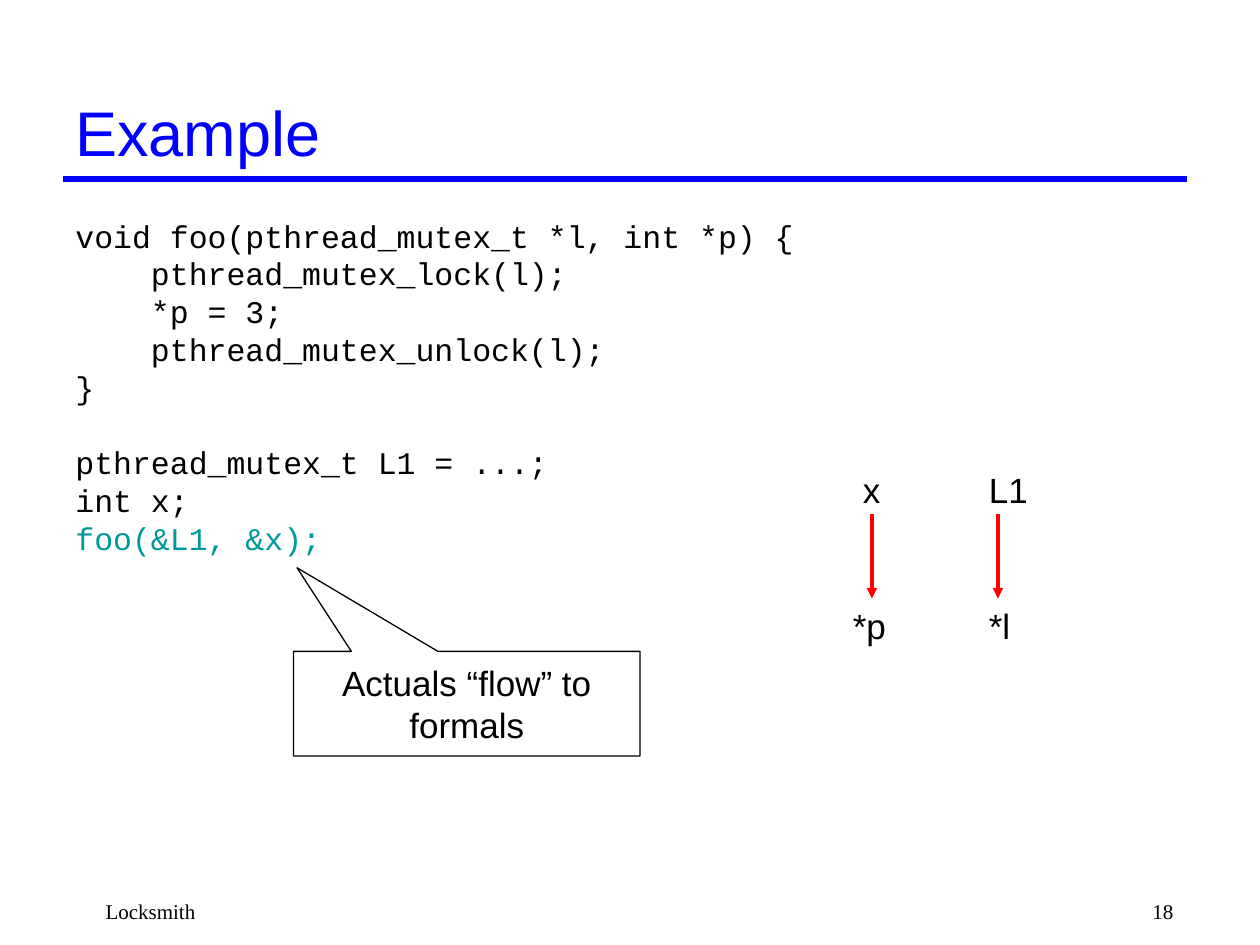
from lxml import etree
from pptx import Presentation
from pptx.dml.color import RGBColor
from pptx.enum.shapes import MSO_CONNECTOR as Line, MSO_SHAPE as Shape
from pptx.enum.text import MSO_ANCHOR as Anchor, PP_ALIGN as Align
from pptx.oxml.ns import qn
from pptx.util import Inches, Pt

# Content
TITLE = "Example"
CODE = [
    ("void foo(pthread_mutex_t *l, int *p) {", "code"),
    ("    pthread_mutex_lock(l);", "code"),
    ("    *p = 3;", "code"),
    ("    pthread_mutex_unlock(l);", "code"),
    ("}", "code"),
    ("pthread_mutex_t L1 = ...;", "code_gap"),
    ("int x;", "code"),
    ("foo(&L1, &x);", "call"),
]
CALLOUT = ["Actuals “flow” to", "formals"]
# Actual, formal, their left edges and widths, arrow position
FLOWS = [
    (("x", 6.75, 0.34), ("*p", 6.67, 0.46), 6.92),
    (("L1", 7.75, 0.51), ("*l", 7.75, 0.37), 7.92),
]
FOOTERS = [
    ("Locksmith", 0.74, 5.84, "footer"),
    ("18", 7.33, 2.08, "number"),
]

# Theme
BLACK, BLUE, TEAL, RED = "000000", "0000FF", "009999", "FF0000"
CODE_STEP = Pt(21.6)
code_style = dict(font="Courier New", size=18, color=BLACK,
                  format=dict(line_spacing=CODE_STEP))
label_style = dict(font="Arial", size=20, color=BLACK, format={})
footer_style = dict(font="Times New Roman", size=12, color=BLACK, format={})
THEME = {
    "title": dict(font="Arial", size=36, color=BLUE, format={}),
    "code": code_style,
    "code_gap": {**code_style, "format": dict(line_spacing=CODE_STEP,
                                              space_before=CODE_STEP)},
    "call": {**code_style, "color": TEAL},
    "label": label_style,
    "callout": {**label_style, "format": dict(alignment=Align.CENTER)},
    "footer": footer_style,
    "number": {**footer_style, "format": dict(alignment=Align.RIGHT)},
}

deck = Presentation()
deck.slide_width, deck.slide_height = Inches(10), Inches(7.5)
page = deck.slides.add_slide(deck.slide_layouts[6])


def write(shape, lines, **frame_format):
    frame = shape.text_frame
    for name, value in frame_format.items():
        setattr(frame, name, value)
    for index, (text, style_name) in enumerate(lines):
        para = frame.add_paragraph() if index else frame.paragraphs[0]
        style = THEME[style_name]
        for name, value in style["format"].items():
            setattr(para, name, value)
        span = para.add_run()
        span.text = text
        span.font.name, span.font.size = style["font"], Pt(style["size"])
        span.font.color.rgb = RGBColor.from_string(style["color"])


def add_text(place, lines, **frame_format):
    box = page.shapes.add_textbox(*map(Inches, place))
    write(box, lines, **frame_format)


def add_line(start, end, color, width, arrow=False):
    line = page.shapes.add_connector(Line.STRAIGHT, *map(Inches, start + end))
    line.line.color.rgb = RGBColor.from_string(color)
    line.line.width = Pt(width)
    if arrow:
        outline = line.line._get_or_add_ln()
        etree.SubElement(outline, qn("a:tailEnd"), type="triangle")
    etree.SubElement(line._element.spPr, qn("a:effectLst"))


# Title and rule
add_line((0.5, 1.42), (9.42, 1.42), BLUE, 3)
add_text((0.5, 0.67, 8.92, 0.75), [(TITLE, "title")],
         word_wrap=True, vertical_anchor=Anchor.MIDDLE)

# Code listing
add_text((0.5, 1.67, 6.16, 3.21), CODE, word_wrap=True)

# Flow of actuals to formals
for actual, formal, arrow_x in FLOWS:
    for (text, left, width), top in ((actual, 3.67), (formal, 4.75)):
        add_text((left, top, width, 0.44), [(text, "label")], word_wrap=False)
    add_line((arrow_x, 4.08), (arrow_x, 4.75), RED, 2, arrow=True)

# Callout pointing at the call
callout = page.shapes.add_shape(
    Shape.RECTANGULAR_CALLOUT, *map(Inches, (2.33, 5.17, 2.75, 0.83)))
callout.adjustments[0], callout.adjustments[1] = -0.49, -1.3
callout.shadow.inherit = False
callout.fill.background()
callout.line.color.rgb = RGBColor.from_string(BLACK)
callout.line.width = Pt(0.75)
write(callout, [(text, "callout") for text in CALLOUT],
      word_wrap=False, vertical_anchor=Anchor.MIDDLE)

# Footer
for text, left, width, style_name in FOOTERS:
    add_text((left, 7.08, width, 0.25), [(text, style_name)], word_wrap=True)

deck.save("out.pptx")
